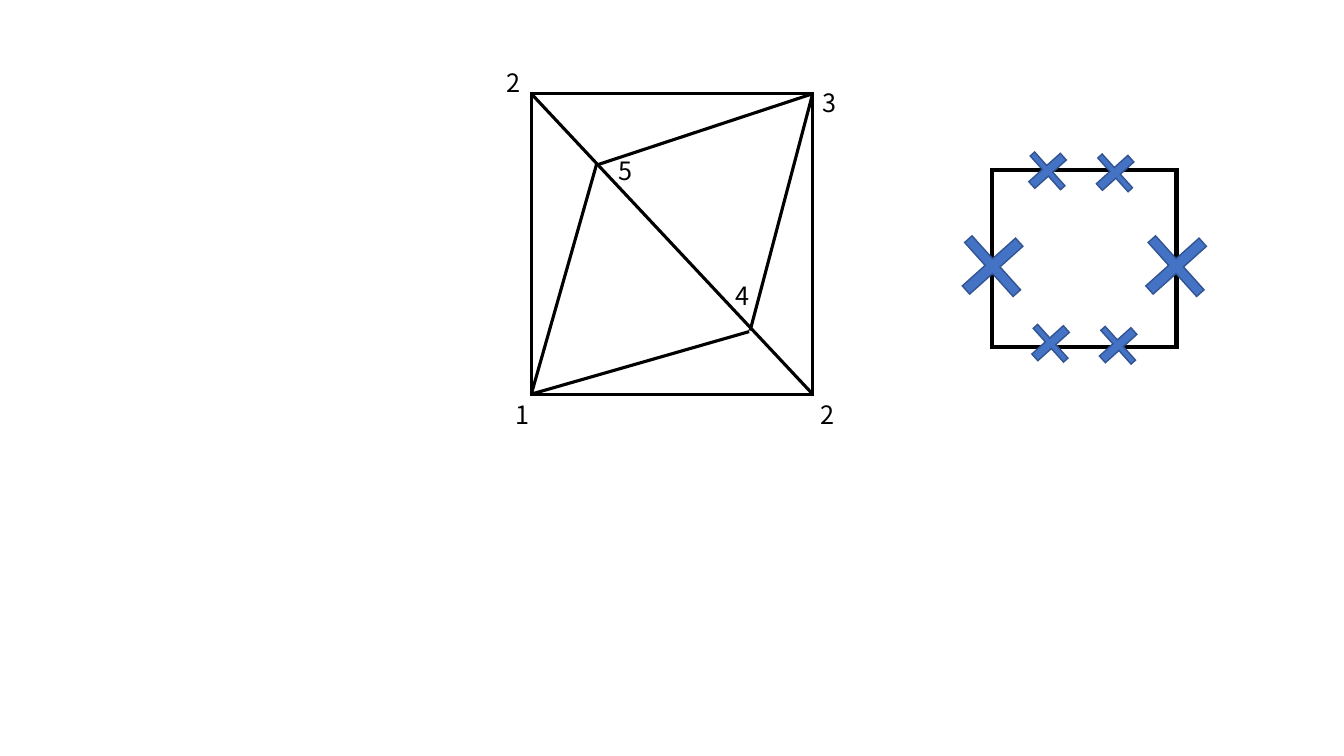
from typing import NamedTuple

from lxml.etree import SubElement
from pptx import Presentation
from pptx.dml.color import RGBColor
from pptx.enum.shapes import MSO_CONNECTOR, MSO_SHAPE
from pptx.enum.text import MSO_AUTO_SIZE
from pptx.oxml.ns import qn
from pptx.shapes.autoshape import Shape
from pptx.slide import Slide
from pptx.util import Emu, Pt

EMU_PER_PX = 9144  # 100 px to the inch
FONT = "Noto Sans CJK SC"
COLORS = {"ink": "000000", "paper": "FFFFFF", "cross": "4472C4", "cross_edge": "325491"}


class Box(NamedTuple):
    left: int
    top: int
    width: int
    height: int


class Edge(NamedTuple):
    start: tuple[int, int]
    end: tuple[int, int]


class Label(NamedTuple):
    text: str
    box: Box
    wrap: bool


# Square divided into triangles
MESH = Box(527, 93, 279, 298)
TOP_LEFT = (MESH.left, MESH.top)
TOP_RIGHT = (MESH.left + MESH.width, MESH.top)
BOTTOM_LEFT = (MESH.left, MESH.top + MESH.height)
BOTTOM_RIGHT = (MESH.left + MESH.width, MESH.top + MESH.height)
EDGES = [
    Edge(TOP_LEFT, BOTTOM_RIGHT),
    Edge((594, 163), TOP_RIGHT),
    Edge((592, 162), BOTTOM_LEFT),
    Edge(BOTTOM_LEFT, (743, 329)),
    Edge(TOP_RIGHT, (744, 328)),
]
LABELS = [
    Label("2", Box(493, 62, 34, 40), True),
    Label("1", Box(501, 391, 34, 40), False),
    Label("2", Box(804, 391, 34, 40), False),
    Label("3", Box(806, 82, 34, 40), False),
    Label("4", Box(720, 273, 43, 40), True),
    Label("5", Box(604, 149, 43, 40), True),
]

# Square with crossed sides
CROSSED = Box(984, 169, 183, 175)
SIDE_CROSSES = [Box(left, 228, 71, 72) for left in (949, 1131)]
ROW_CROSSES = [
    Box(left + step * 67, top + step * 2, 42, 45)
    for left, top in ((1018, 147), (1021, 318))
    for step in range(2)
]


def px(length: int) -> Emu:
    return Emu(length * EMU_PER_PX)


def color(name: str) -> RGBColor:
    return RGBColor.from_string(COLORS[name])


def add_outlined(slide: Slide, kind: MSO_SHAPE, box: Box, fill: str, line: str, weight: float) -> Shape:
    shape = slide.shapes.add_shape(kind, *map(px, box))
    shape.shadow.inherit = False
    shape.fill.solid()
    shape.fill.fore_color.rgb = color(fill)
    shape.line.color.rgb = color(line)
    shape.line.width = Pt(weight)
    # Sharp corners
    SubElement(shape.line._get_or_add_ln(), qn("a:miter"), lim="800000")
    return shape


def add_edge(slide: Slide, edge: Edge) -> None:
    connector = slide.shapes.add_connector(
        MSO_CONNECTOR.STRAIGHT, *map(px, edge.start), *map(px, edge.end)
    )
    connector.line.color.rgb = color("ink")
    connector.line.width = Pt(2.25)
    SubElement(connector._element.spPr, qn("a:effectLst"))


def add_label(slide: Slide, label: Label) -> None:
    frame = slide.shapes.add_textbox(*map(px, label.box)).text_frame
    frame.word_wrap = label.wrap
    frame.auto_size = MSO_AUTO_SIZE.SHAPE_TO_FIT_TEXT
    run = frame.paragraphs[0].add_run()
    run.text = label.text
    run.font.name = FONT
    run.font.size = Pt(18)
    run.font.color.rgb = color("ink")


def add_cross(slide: Slide, box: Box) -> None:
    cross = add_outlined(slide, MSO_SHAPE.CROSS, box, "cross", "cross_edge", 1)
    cross.adjustments[0] = 0.43
    cross.rotation = 318.1


def main() -> None:
    presentation = Presentation()
    presentation.slide_width = px(1333)
    presentation.slide_height = px(750)
    slide = presentation.slides.add_slide(presentation.slide_layouts[6])

    # Triangulated square
    add_outlined(slide, MSO_SHAPE.RECTANGLE, MESH, "paper", "ink", 2.25)
    for edge in EDGES:
        add_edge(slide, edge)
    for label in LABELS:
        add_label(slide, label)

    # Crossed square
    add_outlined(slide, MSO_SHAPE.RECTANGLE, CROSSED, "paper", "ink", 3)
    for box in SIDE_CROSSES + ROW_CROSSES:
        add_cross(slide, box)

    presentation.save("out.pptx")


if __name__ == "__main__":
    main()
